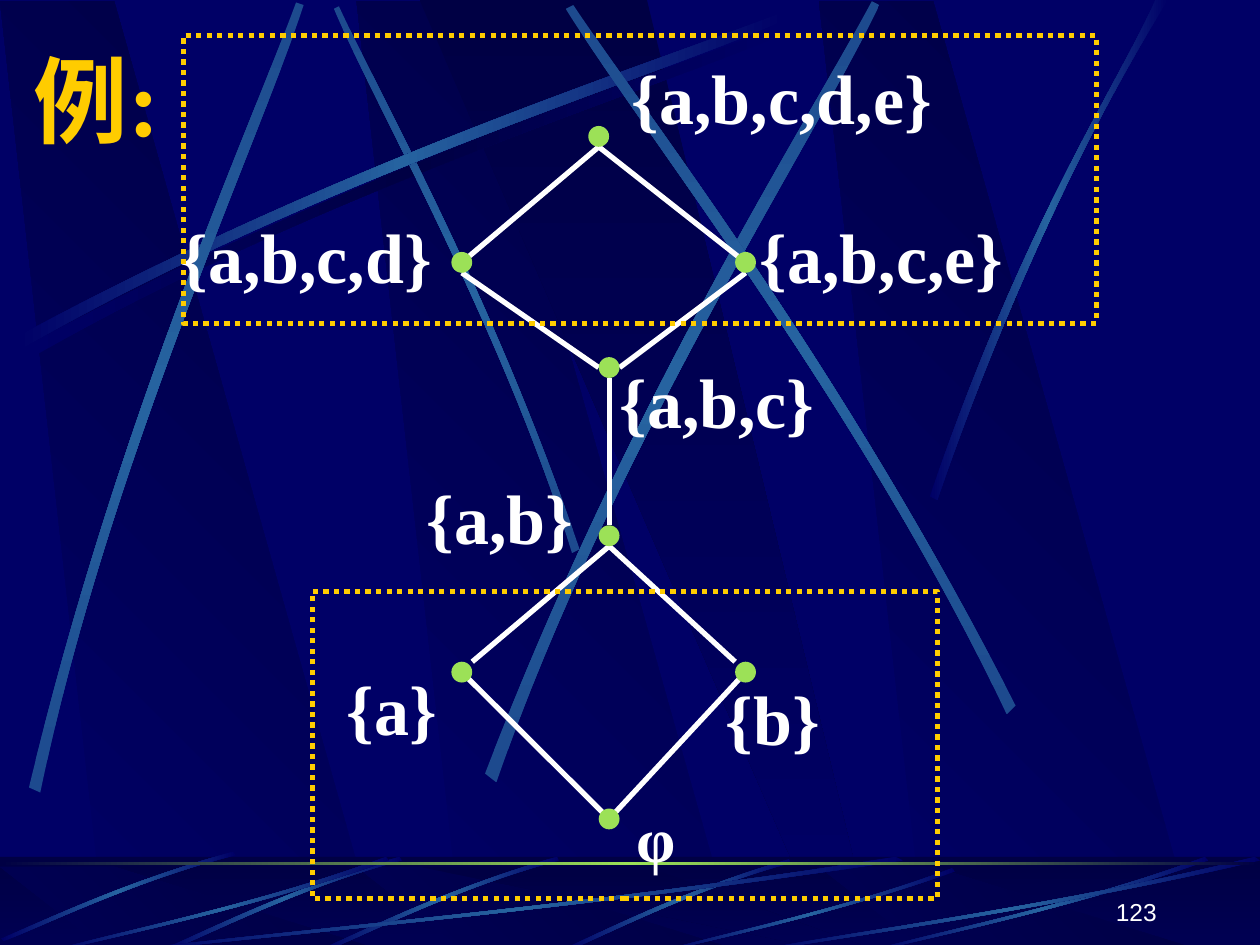
from copy import deepcopy

from lxml.etree import SubElement
from pptx import Presentation
from pptx.dml.color import RGBColor
from pptx.enum.dml import MSO_LINE_DASH_STYLE as Dash
from pptx.enum.shapes import MSO_CONNECTOR as Link, MSO_SHAPE as Preset
from pptx.enum.text import MSO_ANCHOR as Anchor, MSO_AUTO_SIZE as AutoSize, PP_ALIGN as Align
from pptx.oxml.ns import qn
from pptx.util import Cm, Pt

NAVY, DARK, BLUE, GREEN = "000066", "000044", "2663A0", "9CE157"
GOLD, WHITE, DIM = "FFCC00", "FFFFFF", "1D4A8E"
GRID = Cm(0.0254)  # unit of the backdrop boxes
PAGE = (0, 0, 1, 1)
FLOOR = (0, 680, 1000, 75)
RADIUS = 0.21

# Backdrop outlines: polygons, and streaks of eight points for two cubic curves
BEAM = [(0.28, 1), (1, 1), (0.3, 0), (0, 0)]
WEDGE = [(0, 0), (0.9, 1), (1, 1), (0.5, 0)]
SWEEP = [(14, 267), (278, 125), (518, 51), (620, 10),
         (623, 16), (522, 61), (248, 143), (17, 277)]
RAYS = [
    [(460, 436), (391, 234), (302, 77), (269, 5),
     (265, 7), (295, 79), (398, 258), (454, 439)],
    [(23, 625), (93, 334), (197, 105), (235, 2),
     (241, 4), (207, 109), (86, 368), (32, 629)],
    [(385, 614), (498, 320), (638, 102), (692, 1),
     (698, 4), (649, 108), (486, 355), (394, 621)],
    [(806, 560), (670, 293), (516, 95), (455, 4),
     (449, 7), (507, 101), (685, 325), (799, 567)],
]
SIDE_RAY = [(738, 394), (814, 173), (888, 66), (917, 0),
            (927, 0), (836, 145), (769, 322), (744, 397)]
ARC = [(0.99, 0), (0.53, 0.33), (0.16, 0.8), (0, 0.97),
       (0.01, 1), (0.17, 0.84), (0.58, 0.31), (1, 0.04)]
FAN = [(1, 0.04), (0.57, 0.57), (0.17, 0.85), (0.01, 1),
       (0, 0.99), (0.17, 0.81), (0.61, 0.51), (0.99, 0)]
ARC_BOXES = [(448, 682, 180, 73), (256, 680, 188, 75), (131, 680, 188, 75), (1, 676, 186, 71)]
FAN_BOXES = [(100, 680, 617, 75), (42, 680, 267, 75), (527, 689, 231, 66),
             (692, 680, 267, 75), (600, 680, 400, 75)]

# Hasse diagram, in cm: node centres, then label left, top and width
NODES = {
    "{a,b,c,d,e}": (12.07, 2.75, 12.49, 0.63, 6.81),
    "{a,b,c,d}": (9.31, 5.29, 3.39, 3.85, 5.84),
    "{a,b,c,e}": (15.03, 5.29, 15.07, 3.85, 5.66),
    "{a,b,c}": (12.28, 7.41, 12.24, 6.77, 4.7),
    "{a,b}": (12.28, 10.8, 8.35, 9.1, 3.71),
    "{a}": (9.31, 13.55, 6.74, 12.95, 2.57),
    "{b}": (15.03, 13.55, 14.38, 13.15, 2.67),
    "φ": (12.28, 16.51, 12.59, 15.68, 1.17),
}
# Each end is a node and its offset from the centre in radii
EDGES = [
    ("{a,b,c,d,e}", (0, 1), "{a,b,c,d}", (0, 0)),
    ("{a,b,c,d,e}", (0, 1), "{a,b,c,e}", (0, 0)),
    ("{a,b,c,d}", (0, 1), "{a,b,c}", (-1, 0)),
    ("{a,b,c,e}", (0, 1), "{a,b,c}", (1, 0)),
    ("{a,b,c}", (0, 1), "{a,b}", (0, -1)),
    ("{a,b}", (0, 1), "{a}", (1, -1)),
    ("{a,b}", (0, 1), "{b}", (-1, -1)),
    ("{a}", (0, 0), "φ", (0, 0)),
    ("{b}", (0, 0), "φ", (0, 0)),
]
FRAMES = [(6.3, 11.92, 12.6, 6.2), (3.7, 0.71, 18.4, 5.81)]


def rgb(color):
    return RGBColor.from_string(color)


def apply(target, values):
    for key, value in values.items():
        setattr(target, key, value)


def shade(shape, colors, angle):
    """Spread the colours evenly over a gradient."""
    shape.fill.gradient()
    shape.fill.gradient_angle = -angle % 360
    stop_list = shape._element.spPr.find(".//" + qn("a:gsLst"))
    if len(colors) == 3:
        stop_list.insert(1, deepcopy(stop_list[0]))
    for i, (stop, color) in enumerate(zip(shape.fill.gradient_stops, colors)):
        stop.position = i / (len(colors) - 1)
        stop.color.rgb = rgb(color)


def add_panel(slide, outline, box, colors, angle=0):
    """Fit an outline to a box and fill it with a gradient."""
    left, top, width, height = box
    start, *rest = [(GRID * (left + x * width), GRID * (top + y * height)) for x, y in outline]
    builder = slide.shapes.build_freeform(*start)
    builder.add_line_segments(rest, close=True)
    panel = builder.convert_to_shape()
    panel.shadow.inherit = False
    panel.line.fill.background()
    shade(panel, colors, angle)
    return panel


def add_streak(slide, outline, box, colors, angle=0):
    """Bend the two long sides of an eight-point panel into cubic curves."""
    panel = add_panel(slide, outline, box, colors, angle)
    sides = panel._element.spPr.findall(".//" + qn("a:lnTo"))
    for side in (sides[:3], sides[4:7]):
        curve = SubElement(side[0].getparent(), qn("a:cubicBezTo"))
        side[0].addprevious(curve)
        for segment in side:
            curve.append(segment[0])
            segment.getparent().remove(segment)


def add_preset(slide, kind, box, fill=None, line=None):
    shape = slide.shapes.add_shape(kind, *map(Cm, box))
    shape.shadow.inherit = False
    for part, color in ((shape.fill, fill), (shape.line.fill, line)):
        if color:
            part.solid()
            part.fore_color.rgb = rgb(color)
        else:
            part.background()
    return shape


def add_edge(slide, start, end):
    edge = slide.shapes.add_connector(Link.STRAIGHT, *map(Cm, (*start, *end)))
    edge.line.color.rgb = rgb(WHITE)
    edge.line.width = Pt(3)
    SubElement(edge._element.spPr, qn("a:effectLst"))


def add_text(slide, text, box, size, color=WHITE, font="Times New Roman", bold=True,
             frame=None, paragraph=None):
    text_frame = slide.shapes.add_textbox(*map(Cm, box)).text_frame
    apply(text_frame, {"word_wrap": True, **(frame or {})})
    line = text_frame.paragraphs[0]
    apply(line, paragraph or {})
    run = line.add_run()
    run.text = text
    apply(run.font, {"name": font, "size": Pt(size), "bold": bold})
    run.font.color.rgb = rgb(color)


def add_backdrop(slide):
    fade, glow = (NAVY, BLUE, NAVY), (DIM, BLUE, DIM)
    beam_lefts = (283, 0, 650)
    # Wall
    for left in beam_lefts:
        add_panel(slide, BEAM, (left, 1, 302, 751), (NAVY, DARK), 315)
    add_panel(slide, WEDGE, (333, 0, 361, 751), (DARK, NAVY), 90)
    add_streak(slide, SWEEP, (6, 8, 1, 1), (NAVY, DARK, NAVY))
    add_streak(slide, RAYS[0], PAGE, glow, 90)
    add_streak(slide, SWEEP, PAGE, fade)
    for ray in RAYS[1:]:
        add_streak(slide, ray, PAGE, glow, 90)
    add_streak(slide, SIDE_RAY, PAGE, fade)
    # Floor
    floor_box = (0, 17.27, 25.4, 1.9)
    shade(add_preset(slide, Preset.RECTANGLE, floor_box), (DARK, NAVY), 90)
    for left in beam_lefts:
        add_panel(slide, BEAM, (left, 688, 302, 66), (NAVY, DARK), 315)
    add_panel(slide, WEDGE, (333, 688, 361, 66), (DARK, NAVY), 90)
    veil = add_preset(slide, Preset.RECTANGLE, floor_box, DARK)
    SubElement(veil._element.spPr.find(".//" + qn("a:srgbClr")), qn("a:alpha"), val="50000")
    for box in ARC_BOXES:
        add_streak(slide, ARC, box, fade)
    for box in FAN_BOXES:
        add_streak(slide, FAN, box, fade)
    horizon = add_preset(slide, Preset.RECTANGLE, (0, 17.37, 25.4, 0.06))
    shade(horizon, (DARK, GREEN, DARK), 0)


def move_to_master(slide, master):
    """Hand the backdrop over to the slide master, behind its placeholders."""
    tree = master.shapes._spTree
    for i, shape in enumerate(list(slide.shapes)):
        shape._element.nvSpPr.cNvPr.id = 100 + i
        tree.insert(2 + i, shape._element)


def add_diagram(slide):
    def edge_end(name, offset):
        return [c + RADIUS * o for c, o in zip(NODES[name][:2], offset)]

    for upper, upper_offset, lower, lower_offset in EDGES:
        add_edge(slide, edge_end(upper, upper_offset), edge_end(lower, lower_offset))
    for name, (x, y, left, top, width) in NODES.items():
        add_preset(slide, Preset.OVAL, (x - RADIUS, y - RADIUS, 2 * RADIUS, 2 * RADIUS), GREEN)
        size, height = (36, 2.08) if name == "φ" else (40, 2.29)
        add_text(slide, name, (left, top, width, height), size,
                 frame={"word_wrap": False, "auto_size": AutoSize.SHAPE_TO_FIT_TEXT},
                 paragraph={"line_spacing": 1.2})


def main():
    deck = Presentation()
    apply(deck, {"slide_width": Cm(25.4), "slide_height": Cm(19.05)})
    slide = deck.slides.add_slide(deck.slide_layouts[6])
    backdrop = deck.slide_master.background.fill
    backdrop.solid()
    backdrop.fore_color.rgb = rgb(NAVY)
    add_backdrop(slide)
    move_to_master(slide, deck.slide_master)
    # Title, diagram and dotted frames
    add_text(slide, "例:", (0.43, 0.72, 24.13, 2.54), 54, GOLD,
             frame={"vertical_anchor": Anchor.MIDDLE})
    add_diagram(slide)
    for box in FRAMES:
        frame = add_preset(slide, Preset.RECTANGLE, box, line=GOLD)
        apply(frame.line, {"width": Pt(3), "dash_style": Dash.ROUND_DOT})
    # Page number
    add_text(slide, "123", (18.29, 17.53, 5.28, 1.27), 14, font="Arial", bold=False,
             frame={"vertical_anchor": Anchor.BOTTOM}, paragraph={"alignment": Align.RIGHT})
    deck.save("out.pptx")


if __name__ == "__main__":
    main()
